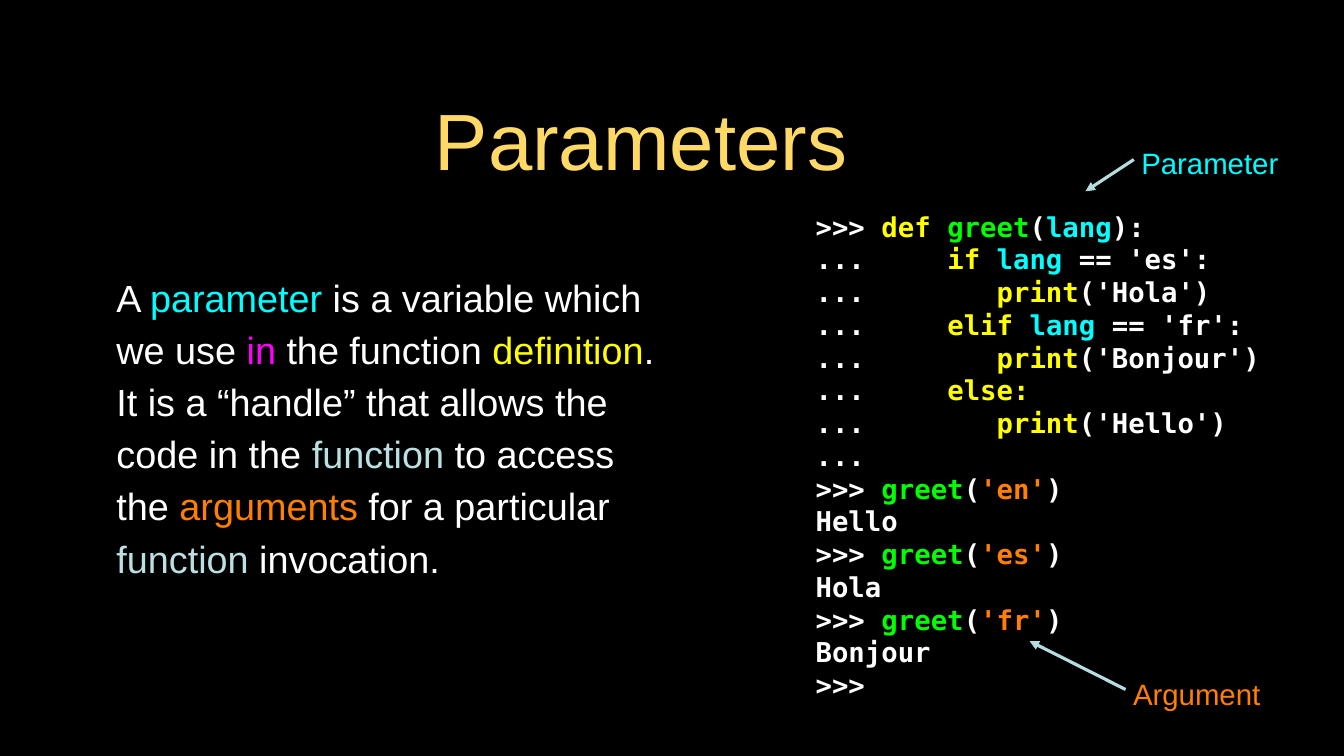
from lxml import etree
from pptx import Presentation
from pptx.dml.color import RGBColor
from pptx.enum.shapes import MSO_CONNECTOR
from pptx.enum.text import MSO_ANCHOR, MSO_AUTO_SIZE, PP_ALIGN
from pptx.oxml.ns import qn
from pptx.util import Inches, Pt

STRAIGHT = MSO_CONNECTOR.STRAIGHT
MIDDLE, TOP = MSO_ANCHOR.MIDDLE, MSO_ANCHOR.TOP
CENTER, LEFT = PP_ALIGN.CENTER, PP_ALIGN.LEFT
NO_FIT, GROW = MSO_AUTO_SIZE.NONE, MSO_AUTO_SIZE.SHAPE_TO_FIT_TEXT

BLACK = RGBColor(0x00, 0x00, 0x00)
WHITE = RGBColor(0xFF, 0xFF, 0xFF)
GOLD = RGBColor(0xFF, 0xD9, 0x66)
CYAN = RGBColor(0x00, 0xFF, 0xFF)
MAGENTA = RGBColor(0xFF, 0x00, 0xFF)
YELLOW = RGBColor(0xFF, 0xFF, 0x00)
GREEN = RGBColor(0x00, 0xFF, 0x00)
ORANGE = RGBColor(0xFF, 0x7F, 0x00)
PALE_BLUE = RGBColor(0xBB, 0xE0, 0xE3)
ARROW_BLUE = RGBColor(0xB6, 0xDC, 0xDF)
LABEL_CYAN = RGBColor(0x00, 0xFD, 0xFF)
LABEL_ORANGE = RGBColor(0xFF, 0x7F, 0x01)


def write_text(frame, lines, font="Arial", size=28, bold=False, align=LEFT,
               anchor=TOP, inset=0.04, spacing=None, indent=0):
    """Fill a text frame; each line is a list of (text, colour) runs."""
    frame.vertical_anchor = anchor
    frame.margin_left = frame.margin_right = Inches(inset)
    frame.margin_top = frame.margin_bottom = Inches(inset)
    for number, runs in enumerate(lines):
        paragraph = frame.paragraphs[0] if number == 0 else frame.add_paragraph()
        paragraph.alignment = align
        if spacing:
            paragraph.line_spacing = spacing
        if indent:
            properties = paragraph._p.get_or_add_pPr()
            properties.set("marL", str(Inches(indent)))
            properties.set("indent", "0")
        for text, color in runs:
            run = paragraph.add_run()
            run.text = text
            run.font.name = font
            run.font.size = Pt(size)
            run.font.bold = bold
            run.font.color.rgb = color


class LessonSlide:
    def __init__(self, presentation):
        self.slide = presentation.slides.add_slide(presentation.slide_layouts[5])
        fill = self.slide.background.fill
        fill.solid()
        fill.fore_color.rgb = BLACK

    def title(self, text, left, top, width, height):
        title = self.slide.shapes.title
        title.left, title.top = Inches(left), Inches(top)
        title.width, title.height = Inches(width), Inches(height)
        title.text_frame.auto_size = NO_FIT
        write_text(title.text_frame, [[(text, GOLD)]], size=76, align=CENTER,
                   anchor=MIDDLE)

    def text(self, lines, left, top, width, height, wrap=True, fit=NO_FIT, **style):
        box = self.slide.shapes.add_textbox(
            Inches(left), Inches(top), Inches(width), Inches(height))
        box.text_frame.word_wrap = wrap
        box.text_frame.auto_size = fit
        write_text(box.text_frame, lines, **style)

    def arrow(self, start, end):
        arrow = self.slide.shapes.add_connector(
            STRAIGHT, *(Inches(value) for value in start + end))
        arrow.line.color.rgb = ARROW_BLUE
        arrow.line.width = Pt(3)
        etree.SubElement(arrow.line._get_or_add_ln(), qn("a:tailEnd"), type="triangle")
        etree.SubElement(arrow._element.spPr, qn("a:effectLst"))

    def callout(self, text, color, left, top, width, start, end):
        self.text([[(text, color)]], left, top, width, 0.57, wrap=False, fit=GROW,
                  inset=0.1)
        self.arrow(start, end)


def greet_call(language, greeting):
    """The prompt line that calls greet, and the line it prints."""
    return [
        [(">>> ", WHITE), ("greet", GREEN), ("(", WHITE),
         (f"'{language}'", ORANGE), (")", WHITE)],
        [(greeting, WHITE)],
    ]


def branch(keyword, language):
    return [("...     ", WHITE), (keyword, YELLOW), ("lang", CYAN),
            (f" == '{language}':", WHITE)]


def print_line(greeting):
    return [("...        ", WHITE), ("print", YELLOW), (f"('{greeting}')", WHITE)]


DEFINITION = [
    ("A ", WHITE), ("parameter", CYAN), (" is a variable which we use ", WHITE),
    ("in", MAGENTA), (" the function ", WHITE), ("definition", YELLOW),
    (". It is a “handle” that allows the code in the ", WHITE),
    ("function", PALE_BLUE), (" to access the ", WHITE), ("arguments", ORANGE),
    (" for a particular ", WHITE), ("function", PALE_BLUE),
    (" invocation.", WHITE),
]

SESSION = [
    [(">>> ", WHITE), ("def ", YELLOW), ("greet", GREEN), ("(", WHITE),
     ("lang", CYAN), ("):", WHITE)],
    branch("if ", "es"),
    print_line("Hola"),
    branch("elif ", "fr"),
    print_line("Bonjour"),
    [("...     ", WHITE), ("else:", YELLOW)],
    print_line("Hello"),
    [("...", WHITE)],
    *greet_call("en", "Hello"),
    *greet_call("es", "Hola"),
    *greet_call("fr", "Bonjour"),
    [(">>>", WHITE)],
]


def main():
    presentation = Presentation()
    presentation.slide_width = Inches(17.78)
    presentation.slide_height = Inches(10)
    lesson = LessonSlide(presentation)

    # Title and definition
    lesson.title("Parameters", 1.26, 0.88, 14.44, 1.9)
    lesson.text([DEFINITION], 1.26, 2.85, 7.64, 5.52, size=36, anchor=MIDDLE,
                spacing=1.15, indent=0.24)

    # Interpreter session
    lesson.text(SESSION, 10.79, 2.39, 6.25, 7.27, font="DejaVu Sans Mono", size=26,
                bold=True, anchor=MIDDLE, inset=0)

    # Callouts on the session
    lesson.callout("Parameter", LABEL_CYAN, 15, 1.82, 2.04,
                   start=(15, 2.11), end=(14.36, 2.53))
    lesson.callout("Argument", LABEL_ORANGE, 14.89, 8.84, 1.91,
                   start=(14.89, 9.12), end=(13.62, 8.48))

    presentation.save("out.pptx")


if __name__ == "__main__":
    main()
